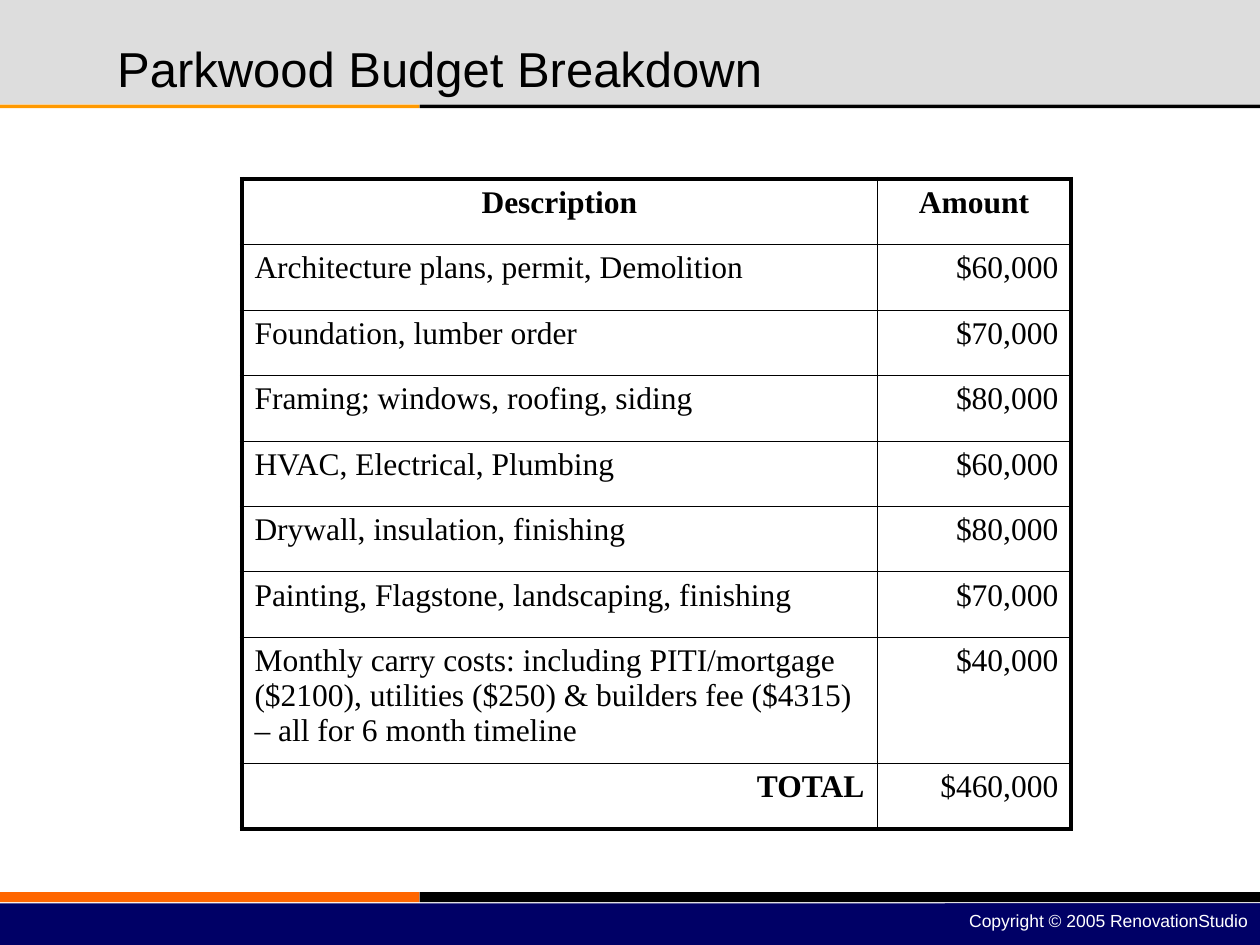
from dataclasses import dataclass

from lxml.etree import SubElement
from pptx import Presentation
from pptx.dml.color import RGBColor
from pptx.enum.shapes import MSO_SHAPE
from pptx.enum.text import MSO_ANCHOR, PP_ALIGN
from pptx.oxml.ns import qn
from pptx.util import Inches, Pt

BLACK = "000000"
WHITE = "FFFFFF"
NAVY = "000066"
THIN = 0.45
THICK = 2.5
ROW_HEIGHT = 0.52
TALL_ROW_HEIGHT = 1.0
COLUMN_WIDTHS = (5.04, 1.54)


@dataclass
class Bar:
    left: float
    top: float
    width: float
    height: float
    color: str


@dataclass
class BudgetRow:
    description: str
    amount: str
    height: float = ROW_HEIGHT


BARS = [
    Bar(0, 0, 10, 0.83, "DDDDDD"),
    Bar(0, 7.17, 10, 0.33, NAVY),
    Bar(0, 7.08, 3.33, 0.08, "FF6600"),
    Bar(3.33, 7.08, 6.67, 0.08, BLACK),
    Bar(0, 0.83, 3.33, 0.03, "FF9900"),
    Bar(3.33, 0.83, 6.67, 0.03, BLACK),
]
COPYRIGHT_BAR = Bar(7.5, 7.17, 2.5, 0.33, NAVY)

BUDGET = [
    BudgetRow("Description", "Amount"),
    BudgetRow("Architecture plans, permit, Demolition", "$60,000"),
    BudgetRow("Foundation, lumber order", "$70,000"),
    BudgetRow("Framing; windows, roofing, siding", "$80,000"),
    BudgetRow("HVAC, Electrical, Plumbing", "$60,000"),
    BudgetRow("Drywall, insulation, finishing", "$80,000"),
    BudgetRow("Painting, Flagstone, landscaping, finishing", "$70,000"),
    BudgetRow(
        "Monthly carry costs: including PITI/mortgage ($2100), utilities ($250) "
        "& builders fee ($4315) – all for 6 month timeline",
        "$40,000",
        TALL_ROW_HEIGHT,
    ),
    BudgetRow("TOTAL", "$460,000"),
]


def rgb(color: str) -> RGBColor:
    return RGBColor.from_string(color)


def write_text(text_frame, text: str, size: float, font_name: str, color: str,
               alignment: PP_ALIGN, bold: bool = False) -> None:
    text_frame.word_wrap = True
    paragraph = text_frame.paragraphs[0]
    paragraph.alignment = alignment
    run = paragraph.add_run()
    run.text = text
    run.font.size = Pt(size)
    run.font.name = font_name
    run.font.bold = bold
    run.font.color.rgb = rgb(color)


def add_bar(slide, bar: Bar):
    shape = slide.shapes.add_shape(
        MSO_SHAPE.RECTANGLE, Inches(bar.left), Inches(bar.top),
        Inches(bar.width), Inches(bar.height))
    shape.shadow.inherit = False
    shape.fill.solid()
    shape.fill.fore_color.rgb = rgb(bar.color)
    shape.line.fill.background()
    return shape


def set_borders(cell, left: float, right: float, top: float, bottom: float) -> None:
    properties = cell._tc.get_or_add_tcPr()
    for side, width in zip("LRTB", (left, right, top, bottom)):
        line = SubElement(properties, qn(f"a:ln{side}"), w=str(Pt(width)))
        fill = SubElement(line, qn("a:solidFill"))
        SubElement(fill, qn("a:srgbClr"), val=BLACK)


def add_title(slide, text: str) -> None:
    title = slide.shapes.title
    slide.shapes._spTree.append(title._element)
    title.left, title.top = Inches(0.83), Inches(0.25)
    title.width, title.height = Inches(9), Inches(0.58)
    title.text_frame.vertical_anchor = MSO_ANCHOR.MIDDLE
    write_text(title.text_frame, text, 28, "Arial", BLACK, PP_ALIGN.LEFT)


def add_budget_table(slide, budget: list[BudgetRow]) -> None:
    table = slide.shapes.add_table(
        len(budget), len(COLUMN_WIDTHS), Inches(1.92), Inches(1.42),
        Inches(sum(COLUMN_WIDTHS)), Inches(sum(row.height for row in budget))).table
    table.first_row = False
    table.horz_banding = False
    for column, width in zip(table.columns, COLUMN_WIDTHS):
        column.width = Inches(width)

    last = len(budget) - 1
    for row_index, row in enumerate(budget):
        table.rows[row_index].height = Inches(row.height)
        for column_index, text in enumerate((row.description, row.amount)):
            is_header = row_index == 0
            is_amount = column_index == 1
            is_total_label = row_index == last and not is_amount
            if is_header:
                alignment = PP_ALIGN.CENTER
            elif is_amount or is_total_label:
                alignment = PP_ALIGN.RIGHT
            else:
                alignment = PP_ALIGN.LEFT
            cell = table.cell(row_index, column_index)
            write_text(cell.text_frame, text, 18, "Times New Roman", BLACK,
                       alignment, is_header or is_total_label)
            set_borders(
                cell,
                left=THIN if is_amount else THICK,
                right=THICK if is_amount else THIN,
                top=THICK if is_header else THIN,
                bottom=THICK if row_index == last else THIN)
            cell.fill.background()


def main() -> None:
    presentation = Presentation()
    presentation.slide_width = Inches(10)
    presentation.slide_height = Inches(7.5)
    slide = presentation.slides.add_slide(presentation.slide_layouts[5])
    for bar in BARS:
        add_bar(slide, bar)
    copyright_shape = add_bar(slide, COPYRIGHT_BAR)
    copyright_shape.text_frame.vertical_anchor = MSO_ANCHOR.TOP
    write_text(copyright_shape.text_frame, "Copyright © 2005 RenovationStudio",
               10, "Arial", WHITE, PP_ALIGN.RIGHT)
    add_title(slide, "Parkwood Budget Breakdown")
    add_budget_table(slide, BUDGET)
    presentation.save("out.pptx")


if __name__ == "__main__":
    main()
